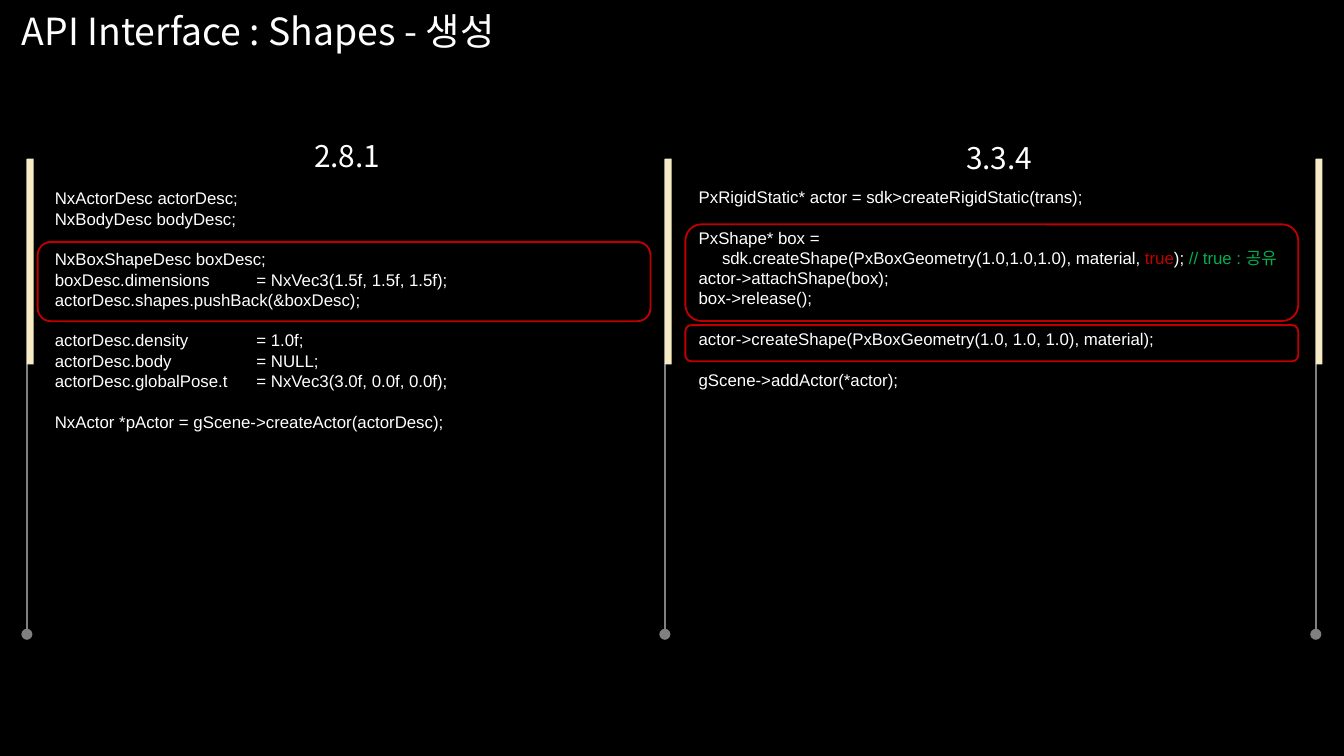
from dataclasses import dataclass

from lxml import etree
from pptx import Presentation
from pptx import util as u
from pptx.dml.color import RGBColor
from pptx.enum import shapes, text
from pptx.oxml import ns

HUES = {"back": "000000", "text": "FFFFFF", "red": "C00000",
        "green": "00B050", "rail": "808080", "bar": "F6EBC5"}
SANS, CODE = "Noto Sans CJK KR", "Arial"
GAP = 11  # space before a new block of code
LEFT, MID = text.PP_ALIGN.LEFT, text.PP_ALIGN.CENTER


@dataclass
class Box:
    x: float
    y: float
    w: float
    h: float

    def pts(self) -> list:
        return [u.Pt(v) for v in (self.x, self.y, self.w, self.h)]


@dataclass
class Line:
    runs: list  # (wording, colour name)
    gap: float = 0
    indent: float = 0


@dataclass
class Label:
    box: Box
    lines: list
    size: float
    font: str = CODE
    align: int = LEFT
    inset: float = 7.2


def hue(name: str) -> RGBColor:
    return RGBColor.from_string(HUES[name])


def assign(item, form: dict) -> None:
    for key, value in form.items():
        setattr(item, key, value)


def plain(words: str, gap: float = 0) -> Line:
    return Line([(words, "text")], gap)


def blocks(*parts: str) -> list:
    """Lines of code, with a gap before each block but the first."""
    return [plain(row, GAP if i and not j else 0)
            for i, part in enumerate(parts)
            for j, row in enumerate(part.split("\n"))]


def write(slide, label: Label) -> None:
    frame = slide.shapes.add_textbox(*label.box.pts()).text_frame
    assign(frame, {"word_wrap": True, "margin_left": u.Pt(label.inset),
                   "auto_size": text.MSO_AUTO_SIZE.SHAPE_TO_FIT_TEXT})
    for i, line in enumerate(label.lines):
        para = frame.add_paragraph() if i else frame.paragraphs[0]
        assign(para, {"alignment": label.align, "space_before": u.Pt(line.gap)})
        if line.indent:
            para._p.get_or_add_pPr().set("marL", str(u.Pt(line.indent)))
        for words, tint in line.runs:
            run = para.add_run()
            run.text = words
            assign(run.font, {"size": u.Pt(label.size), "name": label.font})
            run.font.color.rgb = hue(tint)
            east = etree.SubElement(run._r.get_or_add_rPr(), ns.qn("a:ea"))
            east.set("typeface", SANS)


def rail(slide, x: float) -> None:
    """A thin rail with a round foot and a pale bar on its upper part."""
    top, foot = 85, 339.8
    group = slide.shapes.add_group_shape().shapes
    line = group.add_connector(shapes.MSO_CONNECTOR.STRAIGHT,
                               *[u.Pt(v) for v in (x, foot, x, top)])
    line.line.width = u.Pt(1.25)
    line.line.color.rgb = hue("rail")
    head = etree.SubElement(line.line._get_or_add_ln(), ns.qn("a:headEnd"))
    head.set("type", "oval")
    etree.SubElement(line._element.spPr, ns.qn("a:effectLst"))
    bar = group.add_shape(shapes.MSO_SHAPE.RECTANGLE,
                          *Box(x, top, 3.6, 110.2).pts())
    bar.shadow.inherit = False
    bar.fill.solid()
    bar.fill.fore_color.rgb = hue("bar")
    bar.line.fill.background()


def ring(slide, box: Box) -> None:
    """A red rounded outline round a piece of code."""
    shape = slide.shapes.add_shape(shapes.MSO_SHAPE.ROUNDED_RECTANGLE, *box.pts())
    shape.shadow.inherit = False
    shape.fill.background()
    shape.line.color.rgb = hue("red")
    shape.line.width = u.Pt(1)


# Code of the two versions
OLD = blocks(
    "NxActorDesc actorDesc;\nNxBodyDesc bodyDesc;",
    "NxBoxShapeDesc boxDesc;\n"
    "boxDesc.dimensions\t= NxVec3(1.5f, 1.5f, 1.5f);\n"
    "actorDesc.shapes.pushBack(&boxDesc);",
    "actorDesc.density\t\t= 1.0f;\n"
    "actorDesc.body\t\t= NULL;\n"
    "actorDesc.globalPose.t\t= NxVec3(3.0f, 0.0f, 0.0f);",
    "NxActor *pActor = gScene->createActor(actorDesc);")
SHARE = Line([("sdk.createShape(PxBoxGeometry(1.0,1.0,1.0), material, ", "text"),
              ("true", "red"), ("); ", "text"), ("// true : 공유", "green")],
             indent=12.5)
NEW = [
    *blocks("PxRigidStatic* actor = sdk>createRigidStatic(trans);",
            "PxShape* box ="),
    SHARE,
    *blocks("actor->attachShape(box);\nbox->release();",
            "actor->createShape(PxBoxGeometry(1.0, 1.0, 1.0), material);",
            "gScene->addActor(*actor);")]

LABELS = [
    Label(Box(0, 0.7, 448, 32), [plain("API Interface : Shapes - 생성")],
          20, SANS, inset=11.7),
    Label(Box(15, 70.5, 342, 26.6), [plain("2.8.1")], 16, SANS, MID),
    Label(Box(22.3, 97.2, 328.3, 138.2), OLD, 9),
    Label(Box(364.3, 71.3, 342, 26.6), [plain("3.3.4")], 16, SANS, MID),
    Label(Box(367.2, 96.5, 337, 116.6), NEW, 9)]
RAILS = [14.4, 356.2, 704.9]
RINGS = [Box(20.2, 129.6, 328.3, 42.5), Box(367.2, 174.2, 328.3, 19.4),
         Box(367.2, 120.2, 328.3, 51.8)]


def main() -> None:
    deck = Presentation()
    assign(deck, {"slide_width": u.Pt(720), "slide_height": u.Pt(405)})
    slide = deck.slides.add_slide(deck.slide_layouts[6])
    slide.background.fill.solid()
    slide.background.fill.fore_color.rgb = hue("back")
    for draw, items in ((write, LABELS), (rail, RAILS), (ring, RINGS)):
        for item in items:
            draw(slide, item)
    deck.save("out.pptx")


if __name__ == "__main__":
    main()
